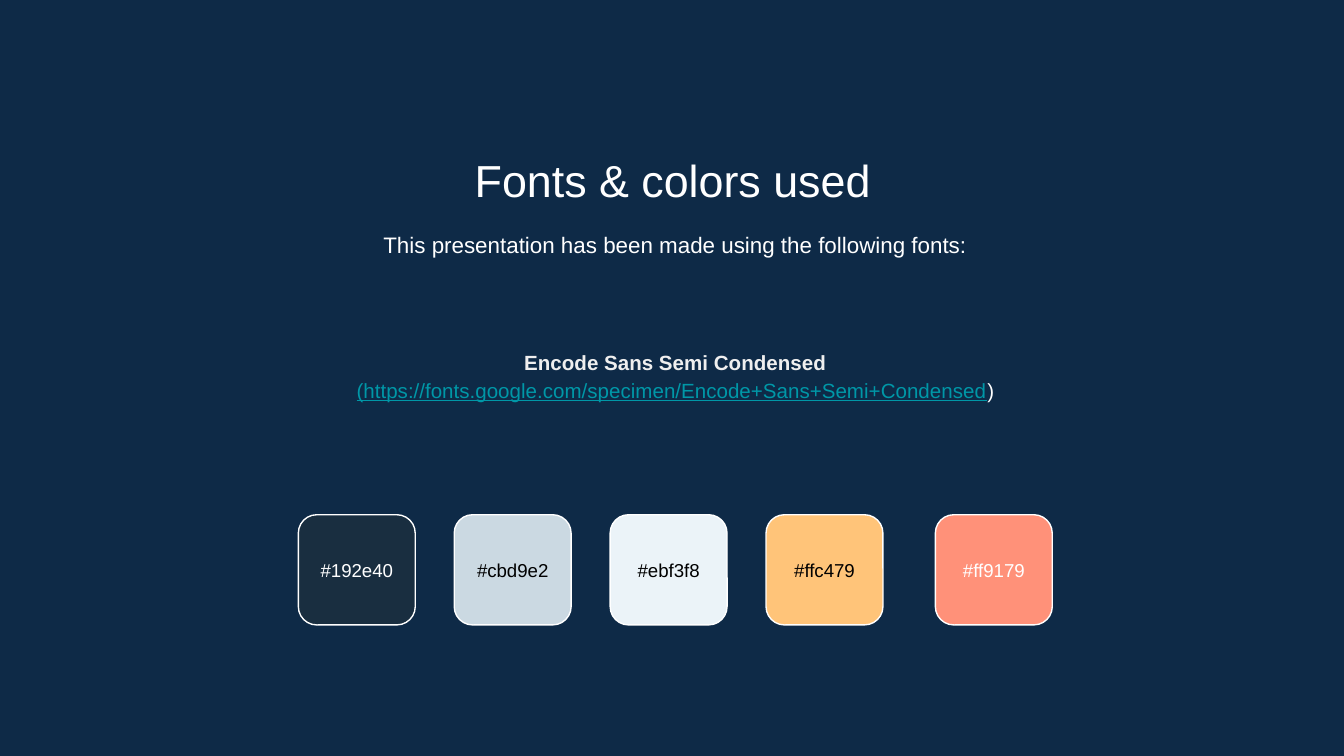
from pptx import Presentation
from pptx.dml.color import RGBColor
from pptx.enum import shapes, text
from pptx.util import Inches, Pt

# Content: each paragraph is a list of (text, color, bold, underline) runs
WHITE, BLACK, BACKGROUND = "FFFFFF", "000000", "0E2A47"
TITLE = [[("Fonts & colors used", WHITE, False, False)]]
INTRO = [[("This presentation has been made using the following fonts:", WHITE, False, False)]]
FONT_SOURCE = [
    [("Encode Sans Semi Condensed", "EFEFEF", True, False)],
    [("(https://fonts.google.com/specimen/Encode+Sans+Semi+Condensed", "0097A7", False, True),
     (")", WHITE, False, False)],
]
PALETTE = [  # color code, label color
    ("#192e40", WHITE),
    ("#cbd9e2", BLACK),
    ("#ebf3f8", BLACK),
    ("#ffc479", BLACK),
    ("#ff9179", WHITE),
]

# Swatch row; the last swatch stands slightly apart
ROW_LEFT, ROW_TOP, PITCH, LAST_GAP = 2.22, 3.83, 1.16, 0.1
SWATCH_W, SWATCH_H, LABEL_H = 0.87, 0.82, 0.48


def rgb(color):
    return RGBColor.from_string(color.lstrip("#").upper())


def add_text(slide, box, paragraphs, size, spacing=1.0, anchor=text.MSO_ANCHOR.TOP):
    frame = slide.shapes.add_textbox(*map(Inches, box)).text_frame
    frame.word_wrap = True
    frame.vertical_anchor = anchor
    frame.margin_left = frame.margin_right = Inches(0.1)
    frame.margin_top = frame.margin_bottom = Inches(0.1)
    for i, runs in enumerate(paragraphs):
        paragraph = frame.add_paragraph() if i else frame.paragraphs[0]
        paragraph.alignment = text.PP_ALIGN.CENTER
        paragraph.line_spacing = spacing
        paragraph.font.name = "Arial"
        paragraph.font.size = Pt(size)
        for words, color, bold, underline in runs:
            run = paragraph.add_run()
            run.text = words
            run.font.color.rgb = rgb(color)
            run.font.bold = bold
            run.font.underline = underline


def add_swatch(slide, left, code, label_color):
    swatch = slide.shapes.add_shape(
        shapes.MSO_SHAPE.ROUNDED_RECTANGLE,
        *map(Inches, (left, ROW_TOP, SWATCH_W, SWATCH_H)))
    swatch.shadow.inherit = False
    swatch.fill.solid()
    swatch.fill.fore_color.rgb = rgb(code)
    swatch.line.color.rgb = rgb(WHITE)
    swatch.line.width = Pt(0.75)
    label_top = ROW_TOP + (SWATCH_H - LABEL_H) / 2
    add_text(slide, (left, label_top, SWATCH_W, LABEL_H),
             [[(code, label_color, False, False)]], 10, anchor=text.MSO_ANCHOR.MIDDLE)


def main():
    deck = Presentation()
    deck.slide_width, deck.slide_height = Inches(10), Inches(10 * 9 / 16)
    slide = deck.slides.add_slide(deck.slide_layouts[6])
    slide.background.fill.solid()
    slide.background.fill.fore_color.rgb = rgb(BACKGROUND)

    # Heading and font source
    add_text(slide, (1.15, 1.04, 7.71, 0.53), TITLE, 24)
    add_text(slide, (1.17, 1.59, 7.71, 0.48), INTRO, 12, 1.15)
    add_text(slide, (1.17, 2.1, 7.71, 1.37), FONT_SOURCE, 11, 1.15, text.MSO_ANCHOR.MIDDLE)

    # Color palette
    for i, (code, label_color) in enumerate(PALETTE):
        extra = LAST_GAP if i == len(PALETTE) - 1 else 0
        add_swatch(slide, ROW_LEFT + i * PITCH + extra, code, label_color)

    deck.save("out.pptx")


if __name__ == "__main__":
    main()
